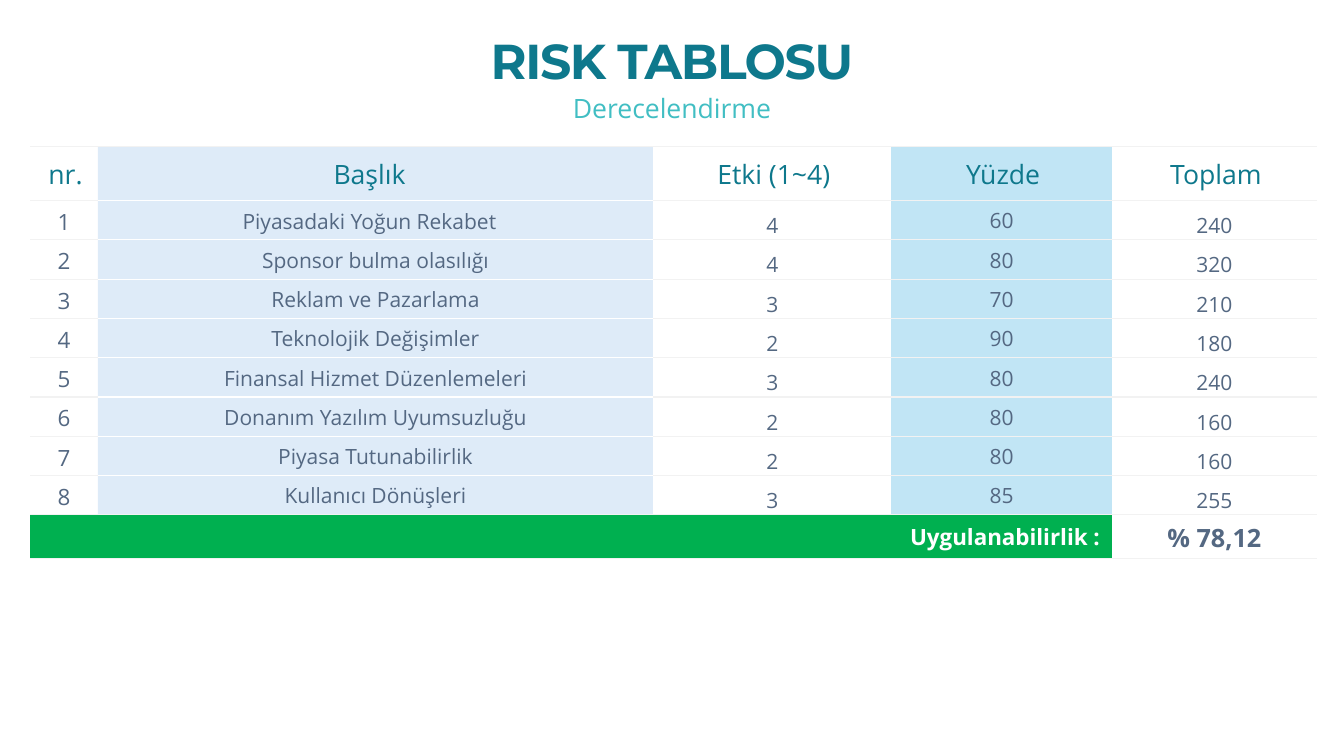
import lxml.etree
import pptx
import pptx.dml.color
import pptx.enum.text
import pptx.oxml.ns
import pptx.util

TEAL, AQUA, SLATE = "0E788C", "41BEC3", "546882"
WHITE, PALE_GRAY, GREEN = "FFFFFF", "F2F2F2", "00B050"
LIGHT_BLUE, SKY = "B8D4F0", "C1E5F5"
ALIGN = pptx.enum.text.PP_ALIGN
ANCHOR = pptx.enum.text.MSO_ANCHOR
inches = pptx.util.Inches


def color(hex_code):
    return pptx.dml.color.RGBColor.from_string(hex_code)


def add_text(frame, text, size, hex_code, font="Open Sans", bold=False, align=ALIGN.CENTER):
    paragraph = frame.paragraphs[0]
    paragraph.alignment = align
    run = paragraph.add_run()
    run.text = text
    run.font.name, run.font.size, run.font.bold = font, pptx.util.Pt(size), bold
    run.font.color.rgb = color(hex_code)
    return run


presentation = pptx.Presentation()
presentation.slide_width, presentation.slide_height = inches(13.33), inches(7.5)
slide = presentation.slides.add_slide(presentation.slide_layouts[6])

# Title and subtitle, centred on the slide
heading_width = int(presentation.slide_width * 0.78)
heading_left = (presentation.slide_width - heading_width) // 2
for text, top, height, size, hex_code, font, bold, spacing in [
    ("RISK TABLOSU", 0.3, 0.59, 35, TEAL, "Montserrat", True, -100),
    ("Derecelendirme", 0.91, 0.32, 19, AQUA, "Open Sans", False, 0),
]:
    heading = slide.shapes.add_textbox(heading_left, inches(top), heading_width, inches(height))
    frame = heading.text_frame
    frame.word_wrap = True
    frame.auto_size = pptx.enum.text.MSO_AUTO_SIZE.SHAPE_TO_FIT_TEXT
    frame.margin_left = frame.margin_right = frame.margin_top = frame.margin_bottom = 0
    run = add_text(frame, text, size, hex_code, font, bold)
    if spacing:
        run.font._element.set("spc", str(spacing))

# Table content: the total is impact times percentage
headers = ["nr.", "Başlık", "Etki (1~4)", "Yüzde", "Toplam"]
risks = [
    ("Piyasadaki Yoğun Rekabet", 4, 60),
    ("Sponsor bulma olasılığı", 4, 80),
    ("Reklam ve Pazarlama", 3, 70),
    ("Teknolojik Değişimler", 2, 90),
    ("Finansal Hizmet Düzenlemeleri", 3, 80),
    ("Donanım Yazılım Uyumsuzluğu", 2, 80),
    ("Piyasa Tutunabilirlik", 2, 80),
    ("Kullanıcı Dönüşleri", 3, 85),
]
rows = [headers]
for number, (risk, impact, percentage) in enumerate(risks, 1):
    rows.append([number, risk, impact, percentage, impact * percentage])
rows.append(["Uygulanabilirlik :", "", "", "", "% 78,12"])
last_row = len(rows) - 1

# Table grid
column_widths = [0.67, 5.51, 2.36, 2.19, 2.03]
row_heights = [0.54] + [0.39] * len(risks) + [0.43]
column_fills = [WHITE, LIGHT_BLUE, WHITE, SKY, WHITE]
table = slide.shapes.add_table(
    len(rows), len(headers), inches(0.3), inches(1.45),
    inches(sum(column_widths)), inches(sum(row_heights)),
).table
table.first_row = table.horz_banding = False
for column, width in zip(table.columns, column_widths):
    column.width = inches(width)
for row, height in zip(table.rows, row_heights):
    row.height = inches(height)
table.cell(last_row, 0).merge(table.cell(last_row, 3))

# Table cells
for row_index, values in enumerate(rows):
    is_header, is_footer = row_index == 0, row_index == last_row
    for column_index, value in enumerate(values):
        cell = table.cell(row_index, column_index)
        is_risk_name = column_index == 1 and not is_footer

        # Rules above and below, none at the sides
        properties = cell._tc.get_or_add_tcPr()
        top_rule = WHITE if is_risk_name and not is_header else PALE_GRAY
        bottom_rule = WHITE if is_risk_name else PALE_GRAY
        for side, rule in [("L", None), ("R", None), ("T", top_rule), ("B", bottom_rule)]:
            line = lxml.etree.SubElement(properties, pptx.oxml.ns.qn("a:ln" + side), w="12700")
            if rule is None:
                lxml.etree.SubElement(line, pptx.oxml.ns.qn("a:noFill"))
            else:
                solid = lxml.etree.SubElement(line, pptx.oxml.ns.qn("a:solidFill"))
                lxml.etree.SubElement(solid, pptx.oxml.ns.qn("a:srgbClr"), val=rule)

        # Fill, with a see-through risk column
        cell.fill.solid()
        is_green = is_footer and column_index < 4
        cell.fill.fore_color.rgb = color(GREEN if is_green else column_fills[column_index])
        if is_risk_name:
            swatch = properties.find(pptx.oxml.ns.qn("a:solidFill"))[0]
            lxml.etree.SubElement(swatch, pptx.oxml.ns.qn("a:alpha"), val="45000")

        # Margins and anchor
        if is_header:
            margins = (0.15, 0.08, 0.12, 0.06)
        elif is_footer or column_index == 0 or (row_index == 1 and is_risk_name):
            margins = (0.12, 0.06, 0.12, 0.06)
        else:
            margins = (0.01, 0.01, 0.01, 0)
        left, top, right, bottom = (inches(margin) for margin in margins)
        if row_index < 2 and is_risk_name:
            left = 0
        cell.margin_left, cell.margin_top = left, top
        cell.margin_right, cell.margin_bottom = right, bottom
        is_low = column_index in (2, 4) and not is_header and not is_footer
        cell.vertical_anchor = ANCHOR.BOTTOM if is_low else ANCHOR.MIDDLE

        # Text
        if value == "":
            continue
        if is_header:
            size, hex_code = 19, TEAL
        elif is_footer:
            size, hex_code = (16, WHITE) if is_green else (18, SLATE)
        else:
            size, hex_code = (16 if column_index == 0 else 15), SLATE
        add_text(cell.text_frame, str(value), size, hex_code, bold=is_footer,
                 align=ALIGN.RIGHT if is_green else ALIGN.CENTER)

presentation.save("out.pptx")
